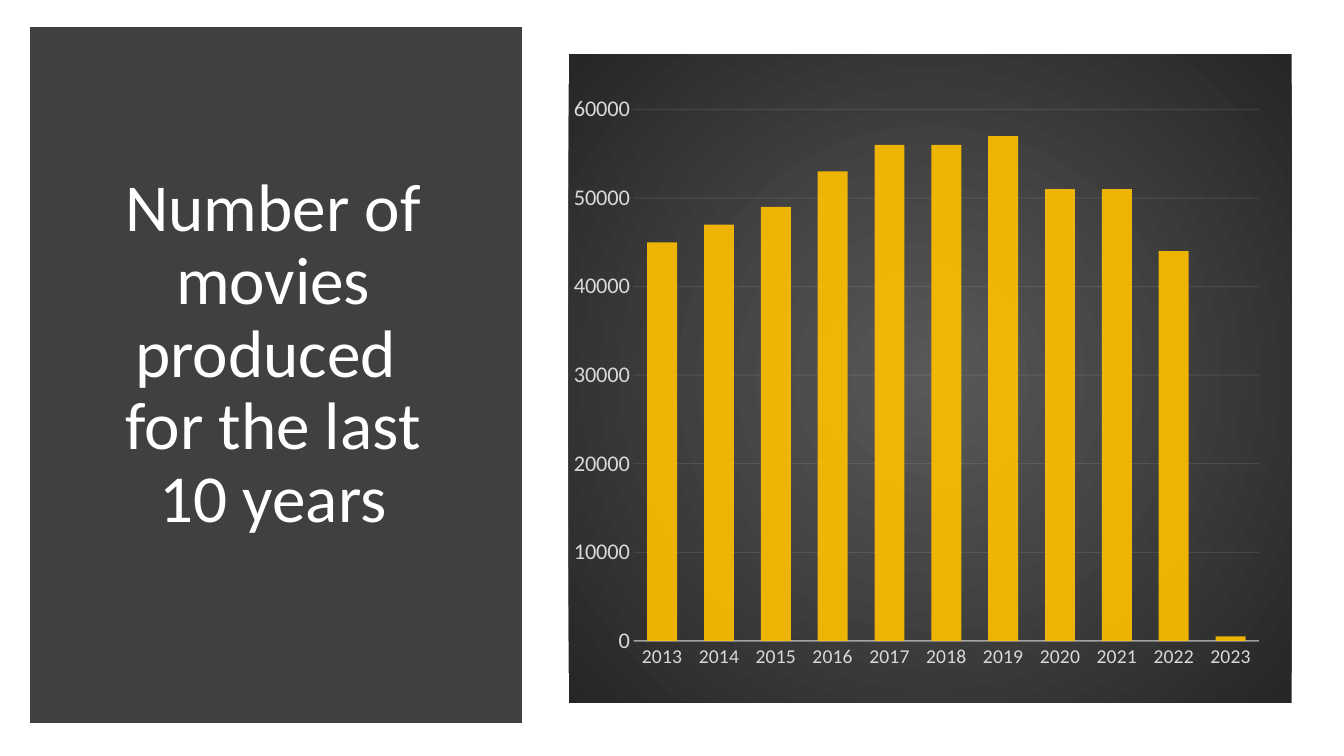
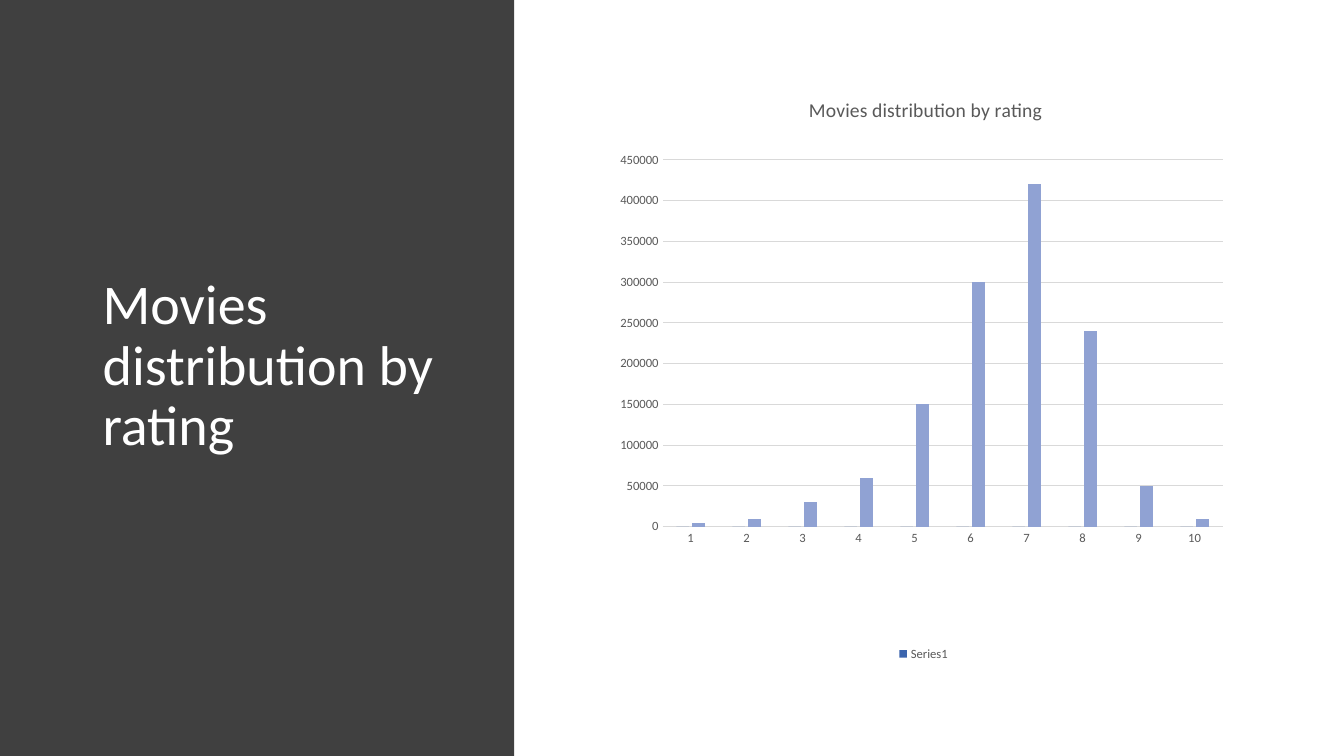
from dataclasses import dataclass

from lxml import etree
from pptx import Presentation
from pptx.chart.data import CategoryChartData
from pptx.dml.color import RGBColor
from pptx.enum.chart import XL_CHART_TYPE as ChartType
from pptx.enum.chart import XL_LEGEND_POSITION as LegendSpot
from pptx.enum.chart import XL_TICK_MARK as TickMark
from pptx.enum.shapes import MSO_SHAPE as Preset
from pptx.enum.text import MSO_ANCHOR as Anchor
from pptx.enum.text import PP_ALIGN as Align
from pptx.oxml import parse_xml
from pptx.oxml.ns import nsdecls, qn
from pptx.util import Inches, Pt


@dataclass(frozen=True)
class Theme:
    font: str = "Calibri"
    panel: str = "404040"
    white: str = "FFFFFF"
    black: str = "000000"
    gold: str = "FFC000"
    blue: str = "3C65AE"
    pale_blue: str = "90A2D3"
    glow: str = "595959"
    night: str = "262626"
    rule: str = "D9D9D9"
    soft_white: str = "F2F2F2"
    grey: str = "595959"
    title_large: int = 48
    title_medium: int = 40
    chart_title: int = 14
    chart_base: int = 10
    label_large: int = 16
    label_medium: int = 14
    label_small: int = 9


THEME = Theme()


def rgb(value):
    return RGBColor.from_string(value)


def set_font(font, size, color):
    for name, value in {"name": THEME.font, "size": Pt(size)}.items():
        setattr(font, name, value)
    font.color.rgb = rgb(color)


def set_line(line, color, width):
    line.color.rgb = rgb(color)
    line.width = Pt(width)


def add_panel(page, box, border=0):
    """Dark rectangle behind the title, with an optional square-cornered border."""
    panel = page.shapes.add_shape(Preset.RECTANGLE, *map(Inches, box))
    panel.shadow.inherit = False
    panel.fill.solid()
    panel.fill.fore_color.rgb = rgb(THEME.panel)
    if border:
        set_line(panel.line, THEME.panel, border)
        outline = panel.element.xpath("p:spPr/a:ln")[0]
        etree.SubElement(outline, qn("a:miter"), lim="800000")
    else:
        panel.line.fill.background()


def add_title(page, box, text, size, align):
    frame = page.shapes.add_textbox(*map(Inches, box)).text_frame
    frame.word_wrap = True
    frame.vertical_anchor = Anchor.MIDDLE
    para = frame.paragraphs[0]
    para.text = text
    para.alignment = align
    para.line_spacing = 0.9
    for span in para.runs:
        set_font(span.font, size, THEME.white)


def layout_xml(target, **shares):
    """Manual chart layout given as shares of the chart's size."""
    inner = '<c:layoutTarget val="inner"/>' if target else ""
    modes = '<c:xMode val="edge"/><c:yMode val="edge"/>'
    parts = "".join(f'<c:{key} val="{value}"/>' for key, value in shares.items())
    return parse_xml(
        f'<c:layout {nsdecls("c")}><c:manualLayout>{inner}{modes}{parts}'
        "</c:manualLayout></c:layout>"
    )


def place_plot(chart, x, y, w, h):
    plot_area = chart.element.xpath("c:chart/c:plotArea")[0]
    for old in plot_area.findall(qn("c:layout")):
        plot_area.remove(old)
    plot_area.insert(0, layout_xml(True, x=x, y=y, w=w, h=h))


def fade(chart, owner, percent):
    """Set the opacity of the colour that the named chart part uses."""
    for color in chart.element.xpath(f".//{owner}/c:spPr//a:srgbClr"):
        etree.SubElement(color, qn("a:alpha"), val=str(percent * 1000))


def style_axes(chart, label_color, sizes, axis_line, grid_line, top, step):
    category, value = chart.category_axis, chart.value_axis
    for axis, size in zip((category, value), sizes):
        axis.major_tick_mark = axis.minor_tick_mark = TickMark.NONE
        set_font(axis.tick_labels.font, size, label_color)
    set_line(category.format.line, *axis_line)
    value.format.line.fill.background()
    set_line(value.major_gridlines.format.line, *grid_line)
    scale = {"minimum_scale": 0, "maximum_scale": top, "major_unit": step}
    for name, number in scale.items():
        setattr(value, name, number)


def add_columns(page, box, categories, series, gap, overlap, plot_box):
    """Column chart; series holds (name, values, colour) rows."""
    data = CategoryChartData()
    data.categories = categories
    for name, values, _ in series:
        data.add_series(name, values)
    chart = page.shapes.add_chart(
        ChartType.COLUMN_CLUSTERED, *map(Inches, box), data
    ).chart
    set_font(chart.font, THEME.chart_base, THEME.black)
    chart.has_title = chart.has_legend = False
    plot = chart.plots[0]
    settings = {"gap_width": gap, "overlap": overlap, "vary_by_categories": False}
    for name, value in settings.items():
        setattr(plot, name, value)
    for columns, (_, _, color) in zip(plot.series, series):
        columns.format.fill.solid()
        columns.format.fill.fore_color.rgb = rgb(color)
    place_plot(chart, *plot_box)
    return chart


def glow_background(chart):
    stops = "".join(
        f'<a:gs pos="{position}"><a:srgbClr val="{color}"/></a:gs>'
        for position, color in ((0, THEME.glow), (100000, THEME.night))
    )
    center = " ".join(f'{side}="50000"' for side in "ltrb")
    chart.element.find(qn("c:chart")).addnext(parse_xml(
        f'<c:spPr {nsdecls("c", "a")}><a:gradFill><a:gsLst>{stops}</a:gsLst>'
        f'<a:path path="circle"><a:fillToRect {center}/></a:path></a:gradFill>'
        "<a:ln><a:noFill/></a:ln></c:spPr>"
    ))


def add_heading(chart, text, x, y):
    chart.has_title = True
    frame = chart.chart_title.text_frame
    frame.text = text
    font = frame.paragraphs[0].runs[0].font
    set_font(font, THEME.chart_title, THEME.grey)
    font.bold = False
    chart.chart_title.include_in_layout = False
    heading = chart.element.xpath("c:chart/c:title")[0]
    for old in heading.findall(qn("c:layout")):
        heading.remove(old)
    heading.find(qn("c:tx")).addnext(layout_xml(False, x=x, y=y))


def add_legend(chart, hidden_entry):
    chart.has_legend = True
    legend = chart.legend
    legend.position = LegendSpot.BOTTOM
    legend.include_in_layout = False
    set_font(legend.font, THEME.label_small, THEME.grey)
    chart.element.xpath(".//c:legend/c:legendPos")[0].addnext(parse_xml(
        f'<c:legendEntry {nsdecls("c")}><c:idx val="{hidden_entry}"/>'
        '<c:delete val="1"/></c:legendEntry>'
    ))


def build_production(page):
    add_panel(page, (0.37, 0.34, 4.74, 6.76), border=10)
    add_title(page, (0.81, 0.81, 3.8, 5.43),
              "Number of movies produced \vfor the last 10 years",
              THEME.title_large, Align.CENTER)
    counts = [45000, 47000, 49000, 53000, 56000, 56000, 57000, 51000, 51000,
              44000, 500]
    chart = add_columns(
        page, (5.64, 0.54, 7.17, 6.43), [str(year) for year in range(2013, 2024)],
        [("Series 1", counts, THEME.gold)], 90, -24, (0.09, 0.085, 0.865, 0.82))
    style_axes(chart, THEME.rule, (THEME.label_medium, THEME.label_large),
               (THEME.soft_white, 1), (THEME.soft_white, 0.75), 60000, 10000)
    for owner, percent in {"c:ser": 91, "c:catAx": 54, "c:majorGridlines": 10}.items():
        fade(chart, owner, percent)
    glow_background(chart)


def build_ratings(page):
    heading = "Movies distribution by rating"
    add_panel(page, (0, 0, 5.1, 7.5))
    add_title(page, (0.92, 0.68, 3.67, 5.92), heading, THEME.title_medium, Align.LEFT)
    counts = [5000, 10000, 30000, 60000, 150000, 300000, 420000, 240000, 50000,
              10000]
    chart = add_columns(
        page, (5.9, 0.68, 6.52, 5.92), [str(rating) for rating in range(1, 11)],
        [("Series1", [0] * len(counts), THEME.blue),
         ("Series 2", counts, THEME.pale_blue)],
        219, -27, (0.103, 0.153, 0.852, 0.615))
    style_axes(chart, THEME.grey, (THEME.label_small, THEME.label_small),
               (THEME.rule, 0.75), (THEME.rule, 0.75), 450000, 50000)
    add_heading(chart, heading, 0.32, 0.04)
    add_legend(chart, hidden_entry=1)


def main():
    deck = Presentation()
    deck.slide_width, deck.slide_height = Inches(13.33), Inches(7.5)
    for build in (build_production, build_ratings):
        build(deck.slides.add_slide(deck.slide_layouts[6]))
    deck.save("out.pptx")


if __name__ == "__main__":
    main()
